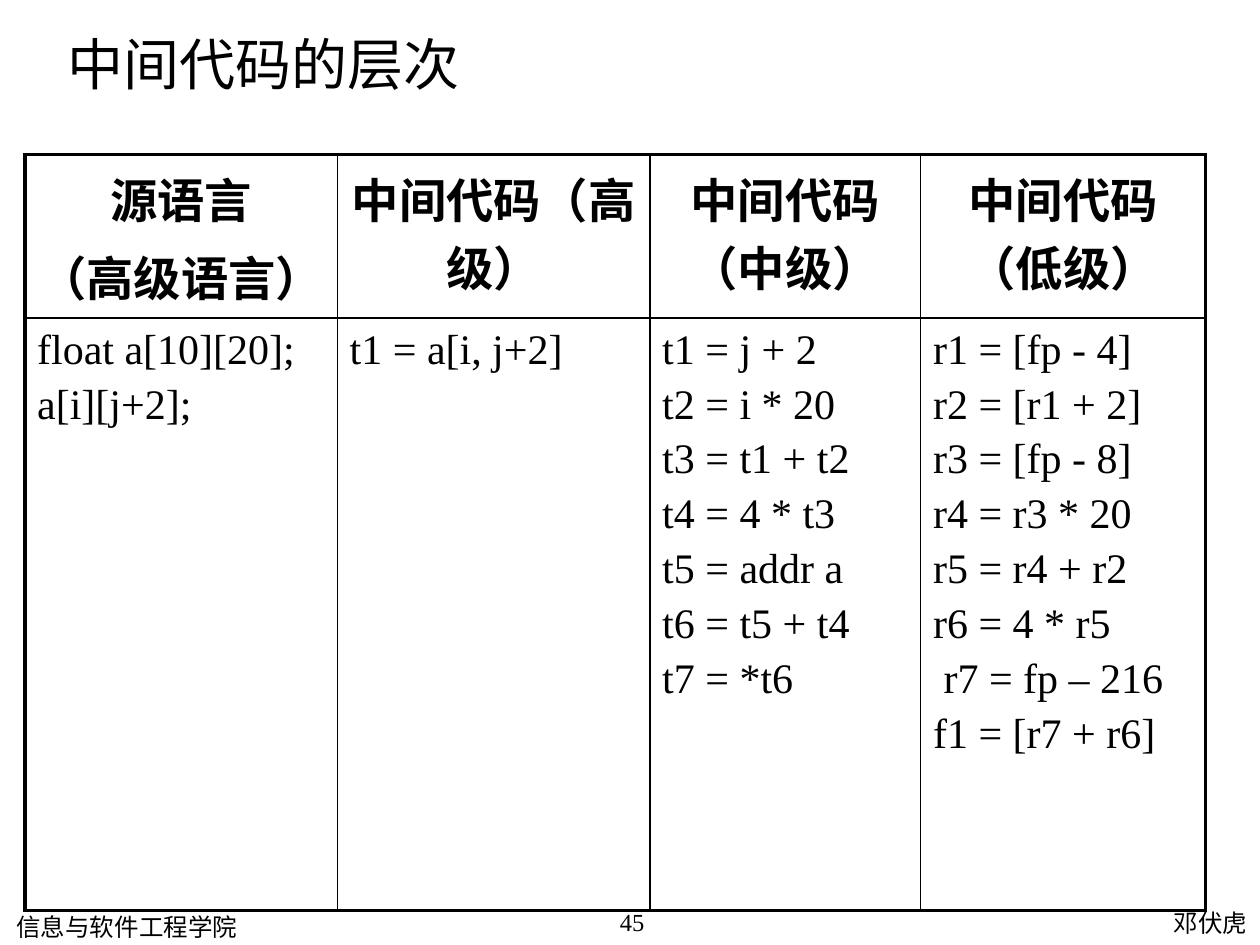
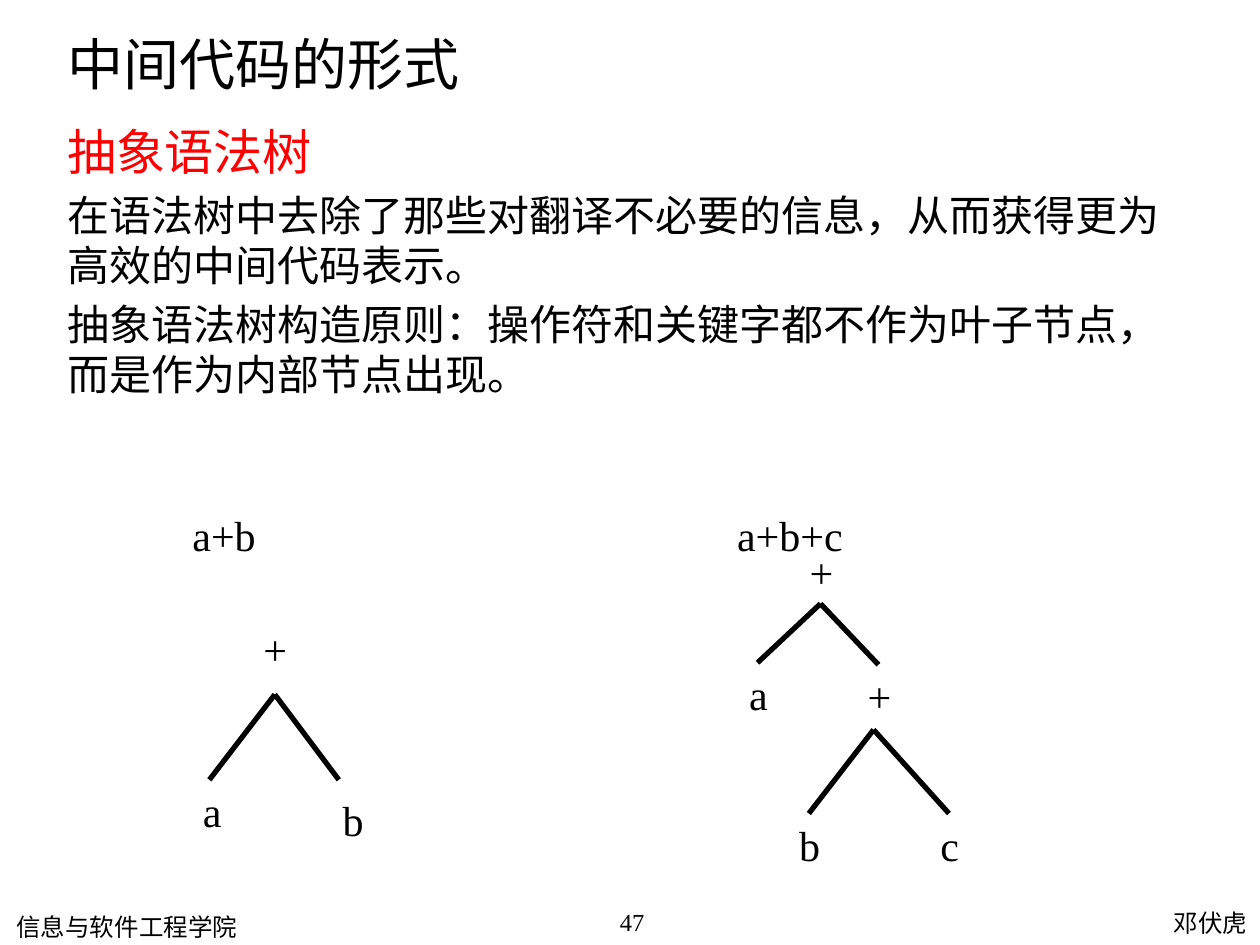
from lxml import etree
from pptx import Presentation
from pptx import util as u
from pptx.dml.color import RGBColor
from pptx.enum import shapes, text
from pptx.oxml import ns

BLACK, RED = "000000", "FF0000"
HAN, LATIN = "Noto Sans CJK SC", "Times New Roman"
CENTER, RIGHT = text.PP_ALIGN.CENTER, text.PP_ALIGN.RIGHT
TITLE_ONLY, TITLE_AND_BODY = 5, 1
TOP, BOTTOM = 0, 2


def color(value):
    return RGBColor.from_string(value)


def add_xml(parent, tag, **attributes):
    return etree.SubElement(parent, ns.qn(tag), attributes)


def write(frame, lines, size=24, font=LATIN, ink=BLACK, bold=False, align=None, gap=0):
    """Fill a text frame; a line is a string or a (string, size, ink) tuple."""
    for index, line in enumerate(lines):
        words, line_size, line_ink = line if isinstance(line, tuple) else (line, size, ink)
        para = frame.paragraphs[0] if index == 0 else frame.add_paragraph()
        para.alignment = align
        para.space_before = u.Pt(gap if index else 0)
        span = para.add_run()
        span.text = words
        span.font.size = u.Pt(line_size)
        span.font.bold = bold
        span.font.color.rgb = color(line_ink)
        span.font.name = font
        add_xml(span.font._element, "a:ea", typeface=HAN)


class Deck:
    """Holds the presentation, its style and the current page."""

    def __init__(self):
        self.deck = Presentation()
        self.deck.slide_width, self.deck.slide_height = u.Cm(25.4), u.Cm(19.05)
        self.page = None

    def new_page(self, title, number, layout):
        self.page = self.deck.slides.add_slide(self.deck.slide_layouts[layout])
        self.placeholder(self.page.shapes.title, (1.1, 0.46, 18.19, 1.85),
                         [title], size=32, font=HAN)
        # Footer
        small = {"size": 14, "height": 1.02, "wrap": True}
        self.label("邓伏虎", 14.88, 18.19, 10.52, font=HAN, align=RIGHT, **small)
        self.label("信息与软件工程学院", 0.08, 18.26, 10.52, font=HAN, **small)
        self.label(str(number), 11.13, 18.16, 3.23, align=CENTER, **small)

    def placeholder(self, box, place, lines, **style):
        box.left, box.top, box.width, box.height = map(u.Cm, place)
        frame = box.text_frame
        frame.auto_size = text.MSO_AUTO_SIZE.NONE
        frame.vertical_anchor = text.MSO_ANCHOR.TOP
        write(frame, lines, align=text.PP_ALIGN.LEFT, **style)

    def body(self, lines, place, **style):
        box = self.page.placeholders[1]
        self.placeholder(box, place, lines, **style)
        for para in box.text_frame.paragraphs:
            properties = para._p.get_or_add_pPr()
            properties.set("marL", "0")
            properties.set("indent", "0")
            add_xml(properties, "a:buNone")

    def label(self, words, left, top, width, height=1.27, wrap=False, **style):
        box = self.page.shapes.add_textbox(*map(u.Cm, (left, top, width, height)))
        box.text_frame.word_wrap = wrap
        write(box.text_frame, [words], **style)
        return box

    def branch(self, parent, child):
        """Draw a tree edge; each end is a node box or an (x, y) point."""
        ends = [end if isinstance(end, tuple) else (0, 0) for end in (parent, child)]
        line = self.page.shapes.add_connector(
            shapes.MSO_CONNECTOR.STRAIGHT, *(u.Cm(value) for end in ends for value in end))
        if not isinstance(parent, tuple):
            line.begin_connect(parent, BOTTOM)
        if not isinstance(child, tuple):
            line.end_connect(child, TOP)
        line.line.color.rgb = color(BLACK)
        line.line.width = u.Pt(3)
        add_xml(line._element.spPr, "a:effectLst")

    def table(self, left, top, widths, heights, rows, styles):
        grid = self.page.shapes.add_table(
            len(heights), len(widths),
            *map(u.Cm, (left, top, sum(widths), sum(heights)))).table
        grid.first_row = grid.horz_banding = False
        for column, width in zip(grid.columns, widths):
            column.width = u.Cm(width)
        last_row, last_column = len(heights) - 1, len(widths) - 1
        for r, (height, cells, style) in enumerate(zip(heights, rows, styles)):
            grid.rows[r].height = u.Cm(height)
            for c, lines in enumerate(cells):
                cell = grid.cell(r, c)
                cell.margin_left = cell.margin_right = u.Cm(0.25)
                cell.margin_top = cell.margin_bottom = u.Cm(0.18)
                cell.fill.background()
                write(cell.text_frame, lines, **style)
                self.borders(cell, L=c == 0, R=c == last_column, T=r == 0, B=r == last_row)

    def borders(self, cell, **outer_sides):
        properties = cell._tc.get_or_add_tcPr()
        for index, (side, is_outer) in enumerate(outer_sides.items()):
            width = u.Pt(2.25 if is_outer else 1)
            line = add_xml(properties, "a:ln" + side, w=str(width))
            add_xml(add_xml(line, "a:solidFill"), "a:srgbClr", val=BLACK)
            properties.insert(index, line)


def levels_page(deck):
    deck.new_page("中间代码的层次", 45, TITLE_ONLY)
    headings = [["源语言", "（高级语言）"], ["中间代码（高级）"],
                ["中间代码（中级）"], ["中间代码（低级）"]]
    code = [
        ["float a[10][20];", "a[i][j+2];"],
        ["t1 = a[i, j+2]"],
        ["t1 = j + 2", "t2 = i * 20", "t3 = t1 + t2", "t4 = 4 * t3",
         "t5 = addr a", "t6 = t5 + t4", "t7 = *t6"],
        ["r1 = [fp - 4]", "r2 = [r1 + 2]", "r3 = [fp - 8]", "r4 = r3 * 20",
         "r5 = r4 + r2", "r6 = 4 * r5", " r7 = fp – 216", "f1 = [r7 + r6]"],
    ]
    deck.table(0.5, 3.12, [6.3, 6.3, 5.46, 5.74], [3.29, 11.94], [headings, code],
               [{"size": 27, "font": HAN, "bold": True, "align": CENTER, "gap": 5.4},
                {"gap": 4.8}])


def forms_page(deck):
    deck.new_page("中间代码的形式", 47, TITLE_AND_BODY)
    deck.body([("抽象语法树", 28, RED),
               "在语法树中去除了那些对翻译不必要的信息，从而获得更为高效的中间代码表示。",
               "抽象语法树构造原则：操作符和关键字都不作为叶子节点，而是作为内部节点出现。"],
              (1.1, 2.33, 23.01, 15.73), gap=4.8)

    # Tree of a+b
    deck.label("a+b", 3.63, 10.15, 1.8)
    deck.label("+", 5.06, 12.45, 0.94)
    deck.label("a", 3.84, 15.72, 0.84)
    deck.label("b", 6.66, 15.9, 0.89)
    for leaf_x in (4.22, 6.83):
        deck.branch((5.54, 14), (leaf_x, 15.72))

    # Tree of a+b+c
    deck.label("a+b+c", 14.61, 10.15, 2.67)
    root = deck.label("+", 16.07, 10.9, 0.94)
    leaf_a = deck.label("a", 14.85, 13.36, 0.84)
    inner = deck.label("+", 17.24, 13.4, 0.94)
    leaf_b = deck.label("b", 15.86, 16.4, 0.89)
    leaf_c = deck.label("c", 18.71, 16.4, 0.84)
    fork = (17.61, 14.71)
    for parent, child in ((root, leaf_a), (root, inner), (fork, leaf_b), (fork, leaf_c)):
        deck.branch(parent, child)


def main():
    deck = Deck()
    levels_page(deck)
    forms_page(deck)
    deck.deck.save("out.pptx")


if __name__ == "__main__":
    main()
